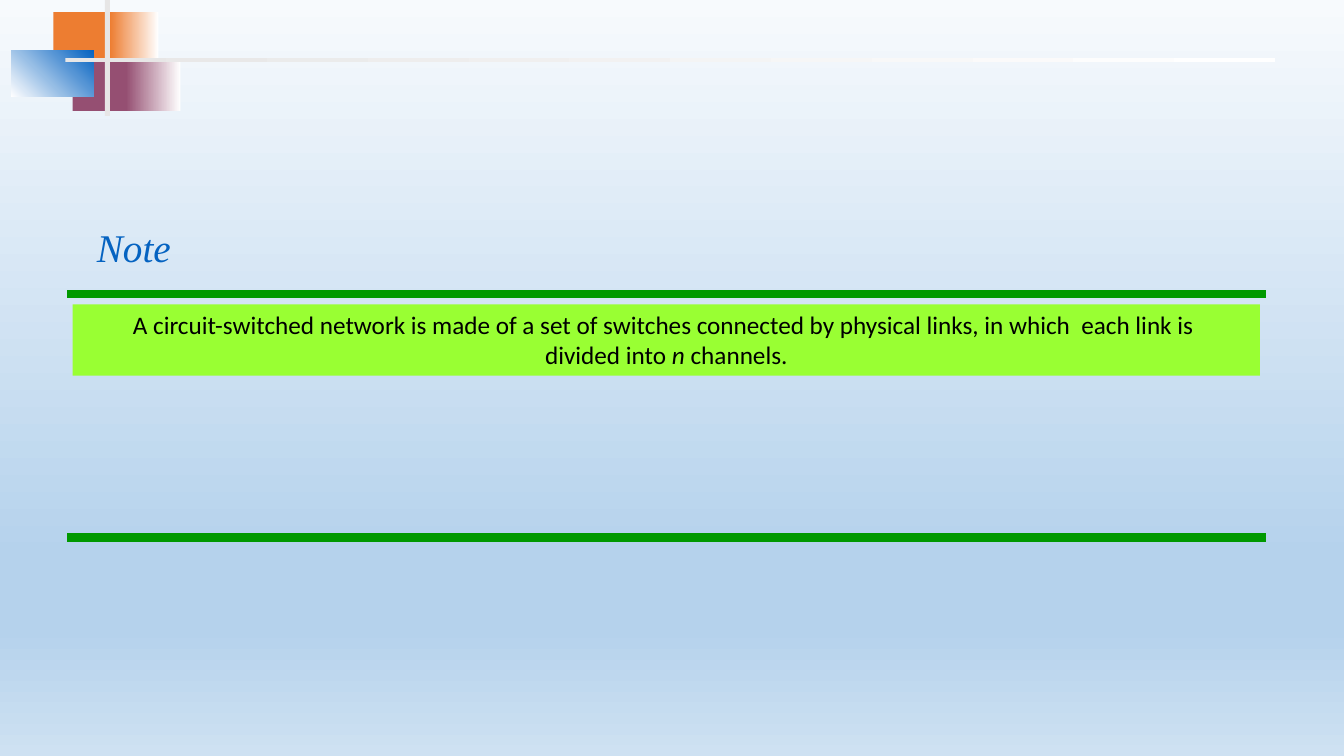
from copy import deepcopy
from dataclasses import dataclass

from lxml.etree import SubElement
from pptx import Presentation
from pptx.dml.color import RGBColor as RGB
from pptx.enum.shapes import MSO_CONNECTOR as Connector, MSO_SHAPE as Shape
from pptx.enum.text import MSO_ANCHOR as Anchor, MSO_AUTO_SIZE as AutoSize, PP_ALIGN as Align
from pptx.oxml.ns import qn
from pptx.util import Pt


@dataclass(frozen=True)
class Theme:
    sky: tuple = ((0, "F7FAFD"), (0.74, "B5D2EC"), (0.83, "B5D2EC"), (1, "CEE1F2"))
    orange: str = "ED7D31"
    plum: str = "954F72"
    blue: str = "0563C1"
    grey: str = "E7E6E6"
    white: str = "FFFFFF"
    rule: str = "009900"
    lime: str = "99FF33"
    text: str = "000000"
    title_font: str = "Times New Roman"
    body_font: str = "Calibri"
    title_size: int = 28
    body_size: int = 18


class SlideBuilder:
    def __init__(self, slide, theme):
        self.slide = slide
        self.theme = theme

    def gradient(self, fill, stops, angle=0):
        """Fill with (position, colour) stops; the angle runs anticlockwise."""
        fill.gradient()
        fill.gradient_angle = angle
        last = fill.gradient_stops[-1]._gs
        for _ in stops[2:]:
            last.addnext(deepcopy(last))
        for stop, (position, colour) in zip(fill.gradient_stops, stops):
            stop.position = position
            stop.color.rgb = RGB.from_string(colour)

    def block(self, left, top, width, height, colour, fade_to=None, angle=0):
        """Borderless rectangle, plain or fading into a second colour."""
        block = self.slide.shapes.add_shape(
            Shape.RECTANGLE, Pt(left), Pt(top), Pt(width), Pt(height))
        block.shadow.inherit = False
        block.line.fill.background()
        if fade_to:
            self.gradient(block.fill, ((0, colour), (1, fade_to)), angle)
        else:
            block.fill.solid()
            block.fill.fore_color.rgb = RGB.from_string(colour)
        return block

    def rule(self, left, right, y):
        rule = self.slide.shapes.add_connector(
            Connector.STRAIGHT, Pt(left), Pt(y), Pt(right), Pt(y))
        rule.line.color.rgb = RGB.from_string(self.theme.rule)
        rule.line.width = Pt(6)
        SubElement(rule._element.spPr, qn("a:effectLst"))

    def style(self, paragraph, font_name, size, colour, align):
        paragraph.alignment = align
        font = paragraph.font
        font.name, font.size = font_name, Pt(size)
        font.color.rgb = RGB.from_string(colour)
        return font

    def title(self, text, left, top, width, height):
        title = self.slide.shapes.title
        title.left, title.top, title.width, title.height = map(Pt, (left, top, width, height))
        frame = title.text_frame
        frame.text = text
        frame.word_wrap = False
        frame.auto_size = AutoSize.SHAPE_TO_FIT_TEXT
        frame.vertical_anchor = Anchor.TOP
        theme = self.theme
        font = self.style(frame.paragraphs[0], theme.title_font, theme.title_size,
                          theme.blue, Align.LEFT)
        font.italic = True

    def statement(self, lines, left, top, width, height):
        """Centred text on lime; each line is a list of (text, italic) runs."""
        frame = self.block(left, top, width, height, self.theme.lime).text_frame
        frame.word_wrap = True
        frame.auto_size = AutoSize.SHAPE_TO_FIT_TEXT
        frame.vertical_anchor = Anchor.TOP
        paragraph = frame.paragraphs[0]
        theme = self.theme
        self.style(paragraph, theme.body_font, theme.body_size, theme.text, Align.CENTER)
        for number, line in enumerate(lines):
            if number:
                paragraph.add_line_break()
            for text, italic in line:
                run = paragraph.add_run()
                run.text = text
                if italic:
                    run.font.italic = True


def main():
    deck = Presentation()
    deck.slide_width, deck.slide_height = Pt(960), Pt(540)
    theme = Theme()
    page = SlideBuilder(deck.slides.add_slide(deck.slide_layouts[5]), theme)
    page.gradient(page.slide.background.fill, theme.sky, angle=270)

    page.block(38.2, 8.6, 46, 37.4, theme.orange)
    page.block(78.5, 8.6, 34.6, 37.4, theme.orange, theme.white)
    page.block(51.8, 41.8, 44.6, 37.4, theme.plum)
    page.block(90, 41.8, 38.9, 37.4, theme.plum, theme.white)
    page.block(7.9, 36, 59, 33.1, theme.white, theme.blue, angle=45)
    page.block(74.9, 0, 3.6, 82.8, theme.grey)
    page.block(46.8, 41.8, 864, 2.2, theme.grey, theme.white)

    page.title("Note", 62, 156.2, 67.7, 41)
    for y in (210, 384):
        page.rule(48, 904, y)
    page.statement(
        [[("A circuit-switched network is made of a set of switches connected by "
           "physical links, in which  each link is ", False)],
         [("divided into ", False), ("n", True), (" channels.", False)]],
        52, 217.4, 848, 51)

    deck.save("out.pptx")


if __name__ == "__main__":
    main()
